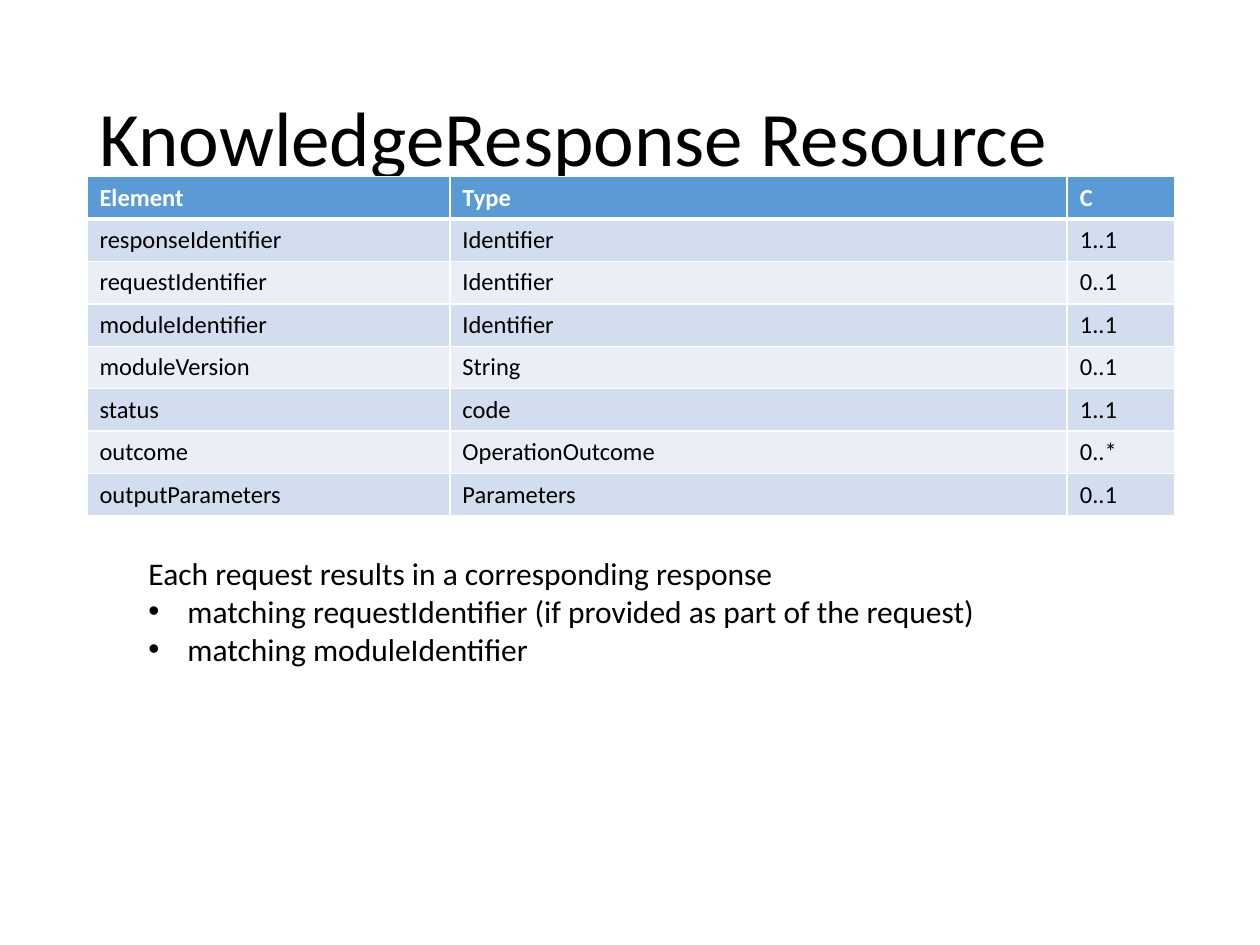
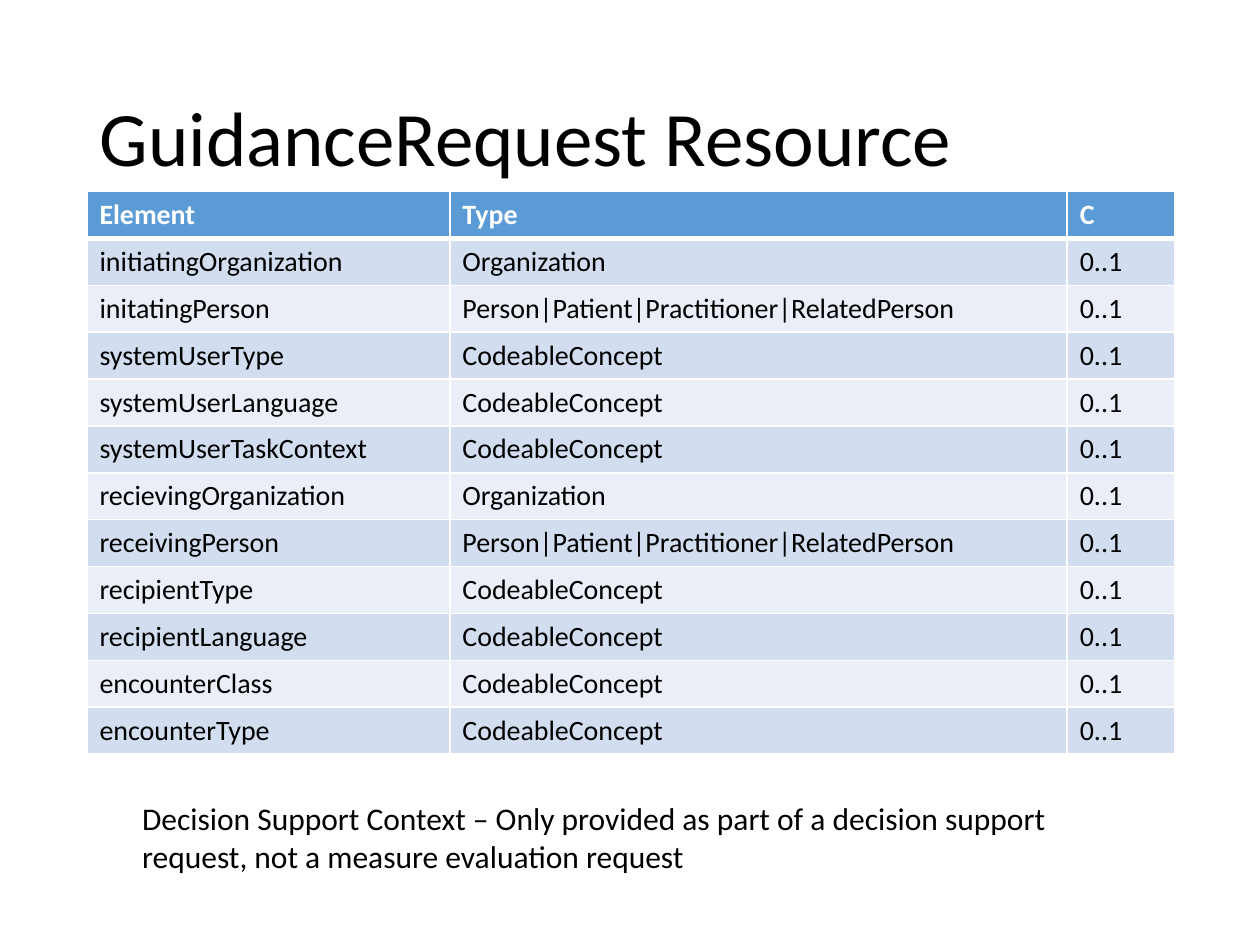
from lxml import etree
from pptx import Presentation
from pptx.dml.color import RGBColor
from pptx.enum.text import MSO_ANCHOR, MSO_AUTO_SIZE, PP_ALIGN
from pptx.oxml.ns import qn
from pptx.util import Inches, Pt

LEFT = PP_ALIGN.LEFT
MIDDLE = MSO_ANCHOR.MIDDLE
NO_FIT = MSO_AUTO_SIZE.NONE
GROW = MSO_AUTO_SIZE.SHAPE_TO_FIT_TEXT
TITLE_ONLY = 5

FONT = "Calibri"
BLACK, WHITE = "000000", "FFFFFF"
HEADER_FILL = "5B9BD5"
BAND_FILLS = ("D2DEEF", "EAEFF7")
MARGIN, CONTENT_WIDTH = 0.69, 8.62
COLUMN_WIDTHS = (2.88, 4.9, 0.85)
HEADINGS = ("Element", "Type", "C")
BULLET_INDENT = 0.31

RESPONSE_ROWS = [
    ("responseIdentifier", "Identifier", "1..1"),
    ("requestIdentifier", "Identifier", "0..1"),
    ("moduleIdentifier", "Identifier", "1..1"),
    ("moduleVersion", "String", "0..1"),
    ("status", "code", "1..1"),
    ("outcome", "OperationOutcome", "0..*"),
    ("outputParameters", "Parameters", "0..1"),
]

PERSON_TYPES = "Person|Patient|Practitioner|RelatedPerson"
GUIDANCE_TYPES = {
    "initiatingOrganization": "Organization",
    "initatingPerson": PERSON_TYPES,
    "systemUserType": "CodeableConcept",
    "systemUserLanguage": "CodeableConcept",
    "systemUserTaskContext": "CodeableConcept",
    "recievingOrganization": "Organization",
    "receivingPerson": PERSON_TYPES,
    "recipientType": "CodeableConcept",
    "recipientLanguage": "CodeableConcept",
    "encounterClass": "CodeableConcept",
    "encounterType": "CodeableConcept",
}
GUIDANCE_ROWS = [(element, kind, "0..1") for element, kind in GUIDANCE_TYPES.items()]


def rgb(color):
    return RGBColor.from_string(color)


def apply_format(target, values):
    for name, value in values.items():
        setattr(target, name, value)


def add_bullet(para):
    properties = para._p.get_or_add_pPr()
    properties.set("marL", str(Inches(BULLET_INDENT)))
    properties.set("indent", str(-Inches(BULLET_INDENT)))
    etree.SubElement(properties, qn("a:buFont")).set("typeface", "Arial")
    etree.SubElement(properties, qn("a:buChar")).set("char", "•")


def add_borders(cell, top, bottom):
    """Draw white cell borders; top and bottom widths are in points."""
    properties = cell._tc.get_or_add_tcPr()
    for side, width in {"L": 1, "R": 1, "T": top, "B": bottom}.items():
        line = etree.SubElement(properties, qn(f"a:ln{side}"), w=str(Pt(width)))
        fill = etree.SubElement(line, qn("a:solidFill"))
        etree.SubElement(fill, qn("a:srgbClr")).set("val", WHITE)


class ResourceDeck:
    def __init__(self):
        self.deck = Presentation()
        self.deck.slide_width = Inches(10)
        self.deck.slide_height = Inches(7.5)
        self.page = None

    def add_text(self, para, text, size, color=BLACK, bold=False):
        span = para.add_run()
        span.text = text
        apply_format(span.font, {"name": FONT, "size": Pt(size), "bold": bold})
        span.font.color.rgb = rgb(color)

    def add_page(self, title):
        self.page = self.deck.slides.add_slide(self.deck.slide_layouts[TITLE_ONLY])
        box = self.page.shapes.title
        apply_format(box, {"left": Inches(MARGIN), "top": Inches(0.4),
                           "width": Inches(CONTENT_WIDTH), "height": Inches(1.45)})
        apply_format(box.text_frame, {"vertical_anchor": MIDDLE, "auto_size": NO_FIT,
                                      "word_wrap": True})
        para = box.text_frame.paragraphs[0]
        apply_format(para, {"alignment": LEFT, "line_spacing": 0.9})
        self.add_text(para, title, 44)

    def add_element_table(self, rows, top, height, size):
        table = self.page.shapes.add_table(
            len(rows) + 1, len(HEADINGS), Inches(MARGIN), Inches(top),
            Inches(CONTENT_WIDTH), Inches(height)).table
        table.horz_banding = False
        for column, width in zip(table.columns, COLUMN_WIDTHS):
            column.width = Inches(width)
        for row_index, values in enumerate([HEADINGS, *rows]):
            header = row_index == 0
            fill = HEADER_FILL if header else BAND_FILLS[(row_index - 1) % 2]
            for column_index, text in enumerate(values):
                cell = table.cell(row_index, column_index)
                add_borders(cell, top=3 if row_index == 1 else 1,
                            bottom=3 if header else 1)
                cell.fill.solid()
                cell.fill.fore_color.rgb = rgb(fill)
                self.add_text(cell.text_frame.paragraphs[0], text, size,
                              WHITE if header else BLACK, header)

    def add_note(self, area, lead, bullets=(), wrap=True):
        box = self.page.shapes.add_textbox(*map(Inches, area))
        frame = box.text_frame
        apply_format(frame, {"word_wrap": wrap, "auto_size": GROW})
        self.add_text(frame.paragraphs[0], lead, 18)
        for text in bullets:
            para = frame.add_paragraph()
            add_bullet(para)
            self.add_text(para, text, 18)


def main():
    resources = ResourceDeck()

    resources.add_page("KnowledgeResponse Resource")
    resources.add_element_table(RESPONSE_ROWS, top=1.4, height=2.67, size=14)
    resources.add_note(
        (1.08, 4.35, 6.84, 1.01),
        "Each request results in a corresponding response",
        ("matching requestIdentifier (if provided as part of the request)",
         "matching moduleIdentifier"),
        wrap=False)

    resources.add_page("GuidanceRequest Resource")
    resources.add_element_table(GUIDANCE_ROWS, top=1.52, height=4.45, size=16)
    resources.add_note(
        (1.03, 6.29, 7.94, 0.71),
        "Decision Support Context – Only provided as part of a decision support "
        "request, not a measure evaluation request")

    resources.deck.save("out.pptx")


if __name__ == "__main__":
    main()
